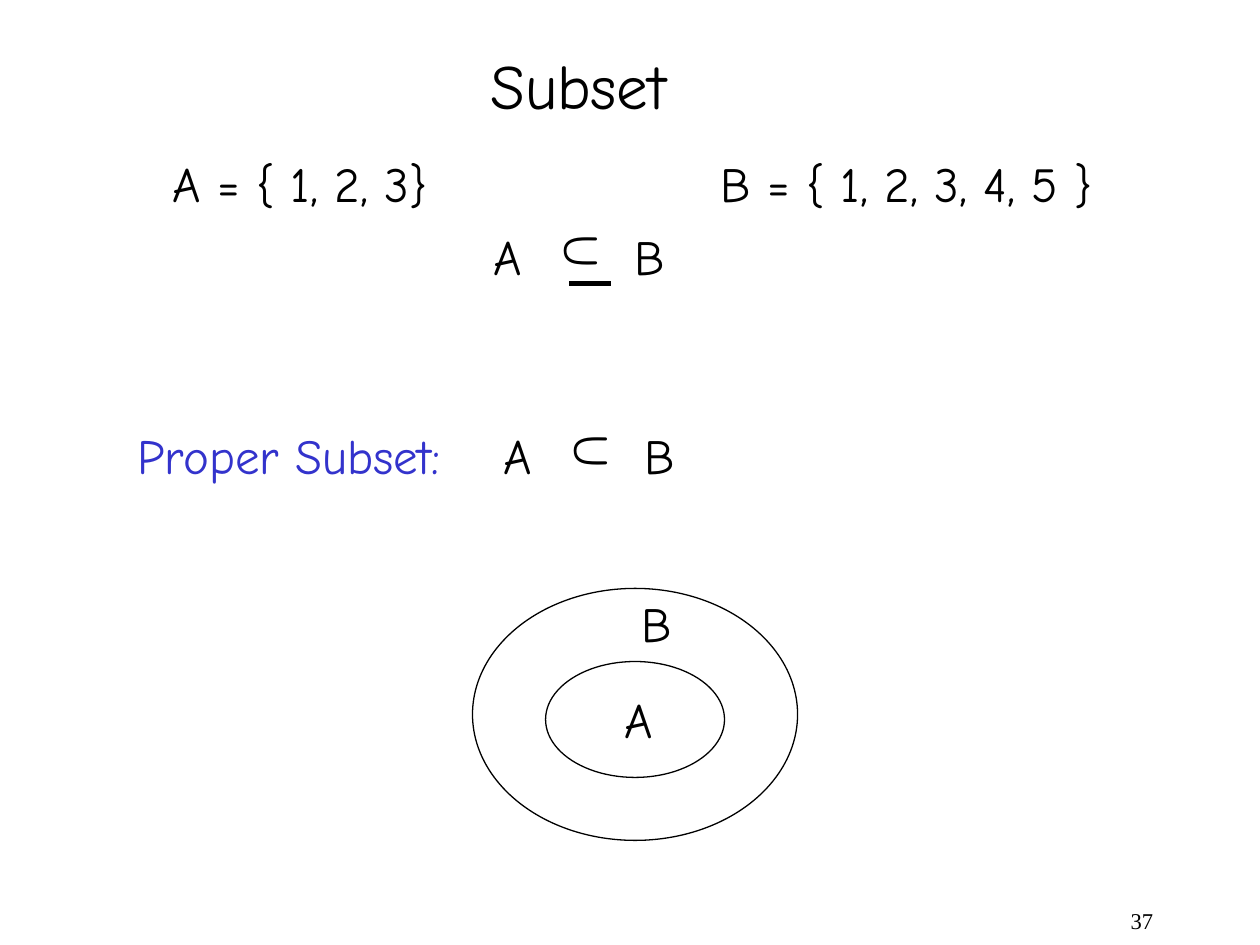
"""Build the slide that explains subsets and proper subsets."""
from lxml import etree
from pptx import Presentation
from pptx.dml.color import RGBColor
from pptx.enum import shapes, text
from pptx.oxml.ns import qn
from pptx.util import Inches, Pt

BLACK = RGBColor(0x00, 0x00, 0x00)
BLUE = RGBColor(0x33, 0x33, 0xCC)

TITLE = ("Subset", (3.79, 0.32, 1.6, 0.7))
SETS = ("A = { 1, 2, 3}\tB = { 1, 2, 3, 4, 5 }", (1.27, 1.17, 7.51, 0.57), 4.35)
LABELS = [
    ("Proper Subset:", (0.99, 3.33, 2.62, 0.57), BLUE),
    ("A", (4.86, 5.42, 0.42, 0.57), BLACK),
    ("B", (4.99, 4.66, 0.44, 0.57), BLACK),
]
RELATIONS = [
    {"letters": (3.82, 1.75), "symbol": (4.4, 1.71), "bar": (4.52, 4.85, 2.25)},
    {"letters": (3.9, 3.33), "symbol": (4.48, 3.3), "bar": None},
]
ELLIPSES = [(4.33, 5.25, 1.42, 0.92), (3.75, 4.67, 2.58, 2)]
PAGE_NUMBER = ("37", (7.17, 7.17, 2.08, 0.33))


def write(box, words, size=28, font="Comic Neue", color=BLACK, tab=None,
          align=text.PP_ALIGN.LEFT, anchor=text.MSO_ANCHOR.TOP, spacing=None):
    frame = box.text_frame
    frame.word_wrap = tab is not None
    frame.auto_size = text.MSO_AUTO_SIZE.NONE
    frame.vertical_anchor = anchor
    para = frame.paragraphs[0]
    if tab is not None:
        frame.margin_right = 0
        stops = etree.SubElement(para._p.get_or_add_pPr(), qn("a:tabLst"))
        etree.SubElement(stops, qn("a:tab"), pos=str(Inches(tab)), algn="l")
    para.alignment = align
    para.line_spacing = spacing
    span = para.add_run()
    span.text = words
    span.font.size = Pt(size)
    span.font.name = font
    span.font.color.rgb = color


def add_text(parent, words, place, **style):
    box = parent.add_textbox(*map(Inches, place))
    write(box, words, **style)
    return box


def add_relation(page, letters, symbol, bar):
    group = page.shapes.add_group_shape().shapes
    add_text(group, "A\tB", (*letters, 1.57, 0.57), tab=1.12)
    add_text(group, "U", (*symbol, 0.47, 0.57)).rotation = 90
    if bar:
        left, right, top = map(Inches, bar)
        line = group.add_connector(shapes.MSO_CONNECTOR.STRAIGHT, left, top, right, top)
        line.line.color.rgb = BLACK
        line.line.width = Pt(3)
        etree.SubElement(line._element.spPr, qn("a:effectLst"))


def add_ellipse(page, place):
    ellipse = page.shapes.add_shape(shapes.MSO_SHAPE.OVAL, *map(Inches, place))
    ellipse.shadow.inherit = False
    ellipse.fill.background()
    ellipse.line.color.rgb = BLACK
    ellipse.line.width = Pt(0.75)


def main():
    deck = Presentation()
    deck.slide_width, deck.slide_height = Inches(10), Inches(7.5)
    page = deck.slides.add_slide(deck.slide_layouts[5])

    words, place = TITLE
    title = page.shapes.title
    title.left, title.top, title.width, title.height = map(Inches, place)
    write(title, words, size=36, align=text.PP_ALIGN.CENTER,
          anchor=text.MSO_ANCHOR.MIDDLE)

    words, place, tab = SETS
    add_text(page.shapes, words, place, tab=tab)
    for relation in RELATIONS:
        add_relation(page, **relation)
    for place in ELLIPSES:
        add_ellipse(page, place)
    for words, place, color in LABELS:
        add_text(page.shapes, words, place, color=color)
    add_text(page.shapes, *PAGE_NUMBER, size=12.9, font="Times New Roman",
             align=text.PP_ALIGN.RIGHT, spacing=0.9)

    deck.save("out.pptx")


if __name__ == "__main__":
    main()
